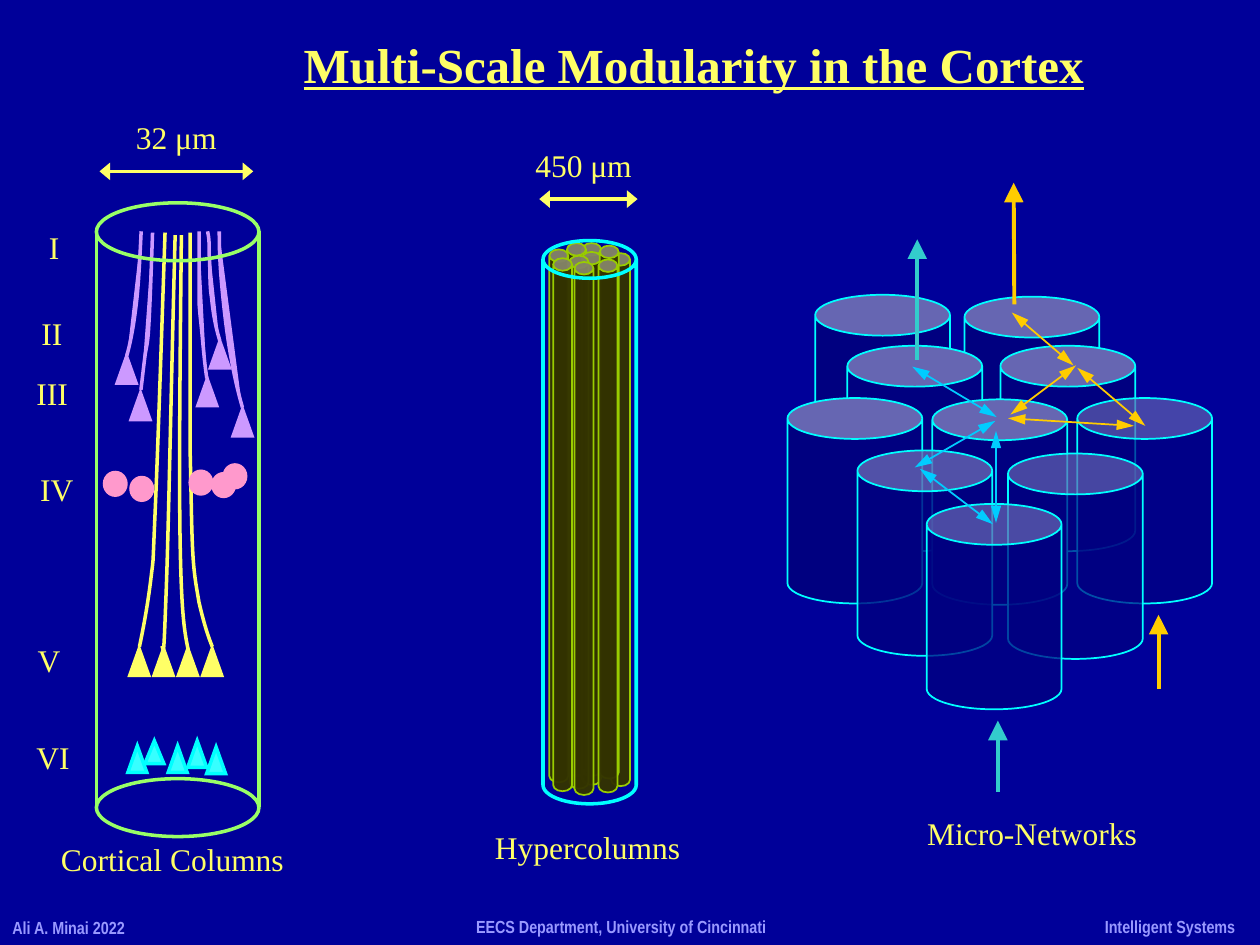
"""Draw the cortex slide on a grid of 100 columns by 75 square rows."""
from dataclasses import dataclass

from lxml.etree import SubElement as Sub
from pptx import Presentation as Deck
from pptx.dml.color import RGBColor as Rgb
from pptx.enum.shapes import MSO_CONNECTOR as Link, MSO_SHAPE as Kind
from pptx.enum.text import MSO_ANCHOR as Anchor, PP_ALIGN as Align
from pptx.oxml.ns import qn
from pptx.util import Inches, Pt

CELL = Inches(0.1)
YELLOW, LILAC, PINK, LIME = "FFFF66", "CC99FF", "FF99CC", "99FF66"
CYAN, SKY, TEAL, GOLD, NAVY = "00FFFF", "00CCFF", "33CCCC", "FFCC00", "000080"


@dataclass
class Look:
    kind: Kind
    wide: float
    high: float
    edge: str
    fill: str | None = None
    thick: float = 2
    lid: float | None = None


@dataclass
class Arrow:
    ends: tuple[float, float, float, float]
    hue: str
    thick: float = 1
    head: bool = True
    tail: bool = True
    wide: str = "med"
    long: str = "lg"


@dataclass
class Curve:
    hue: str
    nodes: list[tuple[float, float]]
    full: bool = True


def grid(count: float) -> int:
    return round(count * CELL)


def tint(code: str) -> Rgb:
    return Rgb.from_string(code)


def paint(shape, edge: str, thick: float, fill: str | None, alpha: int = 100) -> None:
    shape.shadow.inherit = False
    if fill:
        shape.fill.solid()
        shape.fill.fore_color.rgb = tint(fill)
        if alpha < 100:
            node = shape._element.spPr.find(qn("a:solidFill")).find(qn("a:srgbClr"))
            Sub(node, qn("a:alpha"), val=str(alpha * 1000))
    else:
        shape.fill.background()
    shape.line.color.rgb = tint(edge)
    shape.line.width = Pt(thick)


def put(slide, look: Look, left: float, top: float, alpha: int = 100,
        high: float | None = None) -> None:
    box = map(grid, (left, top, look.wide, high or look.high))
    shape = slide.shapes.add_shape(look.kind, *box)
    if look.lid:
        shape.adjustments[0] = look.lid
    paint(shape, look.edge, look.thick, look.fill, alpha)
    Sub(shape._element.spPr.find(qn("a:ln")), qn("a:miter"), lim="800000")


def join(slide, item: Arrow) -> None:
    line = slide.shapes.add_connector(Link.STRAIGHT, *map(grid, item.ends))
    line.line.color.rgb = tint(item.hue)
    line.line.width = Pt(item.thick)
    props = line._element.spPr
    pen = props.find(qn("a:ln"))
    pen.set("cap", "sq")
    for shown, name in ((item.head, "a:headEnd"), (item.tail, "a:tailEnd")):
        if shown:
            Sub(pen, qn(name), type="triangle", w=item.wide, len=item.long)
    Sub(props, qn("a:effectLst"))


def trace(slide, item: Curve) -> None:
    """Draw a chain of cubic curves, three nodes to each curve."""
    first, *rest = [tuple(map(grid, node)) for node in item.nodes]
    build = slide.shapes.build_freeform(*first, scale=1.0)
    build.add_line_segments(rest, close=False)
    shape = build.convert_to_shape()
    paint(shape, item.hue, 2, item.hue if item.full else None)
    props = shape._element.spPr
    props.find(qn("a:ln")).set("cap", "sq")
    route = next(props.iter(qn("a:path")))
    parts = route.findall(qn("a:lnTo"))
    for i in range(0, len(parts), 3):
        bend = Sub(route, qn("a:cubicBezTo"))
        for part in parts[i:i + 3]:
            bend.append(part[0])
            route.remove(part)


def write(slide, text: str, box: tuple, size: float = 18, hue: str = YELLOW,
          face: str = "Times New Roman", bold: bool = False,
          under: bool = False, shape=None) -> None:
    shape = shape or slide.shapes.add_textbox(0, 0, 0, 0)
    shape.left, shape.top, shape.width, shape.height = map(grid, box)
    frame = shape.text_frame
    frame.text, frame.word_wrap, frame.vertical_anchor = text, False, Anchor.TOP
    para = frame.paragraphs[0]
    para.alignment = Align.LEFT
    font = para.runs[0].font
    font.name, font.size, font.bold, font.underline = face, Pt(size), bold, under
    font.color.rgb = tint(hue)


def beam(hue: str, *ends: float) -> Arrow:
    return Arrow(ends, hue, 2.25, head=False, wide="lg")


def span(*ends: float) -> Arrow:
    return Arrow(ends, YELLOW, 2, wide="lg", long="med")


FOOT = [("Ali A. Minai 2022", (0, 72.3, 11, 2.7)),
        ("Intelligent Systems", (86.7, 72.2, 12.4, 2.7)),
        ("EECS Department, University of Cincinnati", (36.8, 72.2, 25.2, 2.7))]
LABELS = [("Cortical Columns", 3.85, 66.2, 19.7), ("Hypercolumns", 38.3, 65.25, 16.7),
          ("Micro-Networks", 72.6, 64.1, 18.7), ("32 μm", 9.8, 8.85, 8.5),
          ("450 μm", 41.5, 11.1, 9.8), ("I", 2.9, 17.6, 2.8), ("II", 2.3, 24.4, 3.7),
          ("III", 1.9, 29.2, 4.5), ("IV", 2.2, 36.8, 4.7), ("V", 2, 50.4, 3.8),
          ("VI", 1.9, 58.1, 4.7)]

ROD = Look(Kind.CAN, 1.5, 42.3, "99CC00", "333300", 1, 0.661)
RODS = [(46.2, 19.3), (45, 19.3), (46.2, 20), (43.6, 19.8), (48.5, 20.1),
        (47.6, 19.5), (47.5, 20.6), (45.2, 20.3), (43.9, 20.5), (45.6, 20.8)]
TUBE = Look(Kind.CAN, 7.4, 44.7, CYAN, None, 2, 0.404)
DRUM = Look(Kind.CAN, 10.7, 16.3, CYAN, NAVY, 1, 0.303)
DRUMS = [(64.7, 23.4), (76.55, 23.55), (67.25, 27.45), (79.4, 27.45), (74, 31.7),
         (62.5, 31.6), (85.5, 31.6, 67), (68.05, 35.75, 80), (80, 36, 69),
         (73.55, 40, 73)]

INPUTS = [beam(TEAL, 79.2, 62.7, 79.2, 57.2), beam(GOLD, 91.95, 54.5, 91.95, 48.8)]
LINKS = [Arrow((78.8, 41.6, 73, 37.2), SKY), Arrow((72.6, 37.1, 79, 33.4), SKY),
         Arrow((79.05, 41.5, 79.05, 34.2), SKY), Arrow((79.1, 33.1, 72.4, 29.1), SKY),
         beam(TEAL, 72.8, 28.4, 72.8, 19),
         Arrow((85.2, 29, 80.3, 24.8), GOLD), Arrow((80.2, 32.9, 85.4, 29), GOLD),
         Arrow((90.9, 33.8, 85.5, 29.2), GOLD), Arrow((90, 33.8, 80, 33.2), GOLD),
         beam(GOLD, 80.5, 24, 80.45, 14.5)]
SPANS = [span(7.9, 13.6, 20.1, 13.6), span(42.8, 15.8, 50.6, 15.8)]
WALLS = [Arrow((x, 18.5, x, 63.9), LIME, 2, False, False) for x in (7.65, 20.55)]

BLUE = Look(Kind.ISOSCELES_TRIANGLE, 1.5, 2.1, CYAN, "37FFFF")
BLUES = [(13.35, 59.2), (14.9, 58.8), (16.4, 59.3), (10.15, 59.2)]
SUN = Look(Kind.ISOSCELES_TRIANGLE, 1.5, 2.1, YELLOW, YELLOW)
PURPLE = Look(Kind.ISOSCELES_TRIANGLE, 1.5, 2.1, LILAC, LILAC)
PURPLES = [(16.7, 27.1), (18.5, 32.5), (10.4, 31.2), (9.3, 28.3), (15.7, 30.1)]
BALL = Look(Kind.OVAL, 1.7, 1.8, PINK, PINK)
BALLS = [(17.8, 36.9), (8.3, 37.5), (10.4, 37.9), (15.1, 37.4), (16.9, 37.6)]
RING = Look(Kind.OVAL, 12.9, 4.6, LIME)

LONG = [
    Curve(YELLOW, [(11.1, 51.2), (11.5, 49.3), (11.8, 47.5), (12, 45.8), (12.2, 44.1),
                   (12.1, 45.6), (12.3, 41.1), (12.5, 36.6), (12.8, 27.6),
                   (13.1, 18.6)], False),
    Curve(YELLOW, [(12.9, 51.4), (13, 51.7), (13, 52.1), (13.2, 46.7), (13.4, 41.2),
                   (13.6, 30), (13.9, 18.8)], False),
    Curve(YELLOW, [(14.9, 51.4), (14.6, 49.9), (14.4, 48.4), (14.3, 43), (14.2, 37.5),
                   (14.3, 28.1), (14.4, 18.8)], False),
    Curve(YELLOW, [(16.8, 51.2), (16.4, 50.2), (16.1, 49.1), (15.8, 47.8), (15.6, 46.6),
                   (15.4, 45.7), (15.3, 43.7), (15.2, 41.7), (15.2, 40.2), (15.1, 36),
                   (15.1, 31.8), (15.1, 25.2), (15.1, 18.6)], False)]
SHORT = [
    Curve(LILAC, [(10.1, 28.1), (10.4, 27), (10.6, 25.9), (10.8, 24.3), (11, 22.7),
                  (11.1, 20.6), (11.2, 18.5)]),
    Curve(LILAC, [(11.2, 30.8), (11.3, 30), (11.4, 29.1), (11.5, 28.3), (11.6, 27.5),
                  (11.7, 27.6), (11.8, 26), (11.9, 24.4), (12, 21.5), (12.1, 18.6)]),
    Curve(LILAC, [(16.4, 29.9), (16.2, 28.5), (16.1, 27.1), (16, 26.1), (15.9, 25.1),
                  (15.9, 25.3), (15.8, 24), (15.8, 22.8), (15.8, 20.6), (15.8, 18.5)]),
    Curve(LILAC, [(17.4, 26.9), (17.1, 25.9), (16.9, 24.8), (16.8, 23.7), (16.6, 22.6),
                  (16.7, 21.1), (16.6, 20.2), (16.6, 19.3), (16.6, 18.9), (16.5, 18.5)]),
    Curve(LILAC, [(19.2, 32.2), (18.8, 30.8), (18.5, 29.4), (18.2, 27.6), (17.9, 25.8),
                  (17.6, 22.9), (17.5, 21.4), (17.4, 19.9), (17.4, 19.2), (17.4, 18.5)])]


def main() -> None:
    deck = Deck()
    deck.slide_width, deck.slide_height = grid(100), grid(75)
    slide = deck.slides.add_slide(deck.slide_layouts[5])
    slide.background.fill.solid()
    slide.background.fill.fore_color.rgb = tint("000099")
    write(slide, "Multi-Scale Modularity in the Cortex", (23.1, 2.2, 64.6, 5.7),
          size=28, bold=True, under=True, shape=slide.shapes.title)
    for text, box in FOOT:
        write(slide, text, box, size=10, hue="9999FF", face="Arial Narrow", bold=True)
    for item in INPUTS:
        join(slide, item)
    for spot in RODS:
        put(slide, ROD, *spot, alpha=96)
    put(slide, TUBE, 43.1, 19.1)
    for spot in DRUMS:
        put(slide, DRUM, *spot)
    for item in LINKS + SPANS:
        join(slide, item)
    put(slide, BLUE, 11.5, 58.8, high=1.8)
    suns = [(10.3 + 1.93 * i, 51.5) for i in range(4)]
    for look, spots in ((BLUE, BLUES), (SUN, suns), (PURPLE, PURPLES)):
        for spot in spots:
            put(slide, look, *spot)
    for item in LONG + SHORT:
        trace(slide, item)
    for look, spots in ((BALL, BALLS), (RING, [(7.65, 16.1), (7.65, 61.8)])):
        for spot in spots:
            put(slide, look, *spot)
    for item in WALLS:
        join(slide, item)
    for text, left, top, wide in LABELS:
        write(slide, text, (left, top, wide, 4))
    deck.save("out.pptx")


if __name__ == "__main__":
    main()
